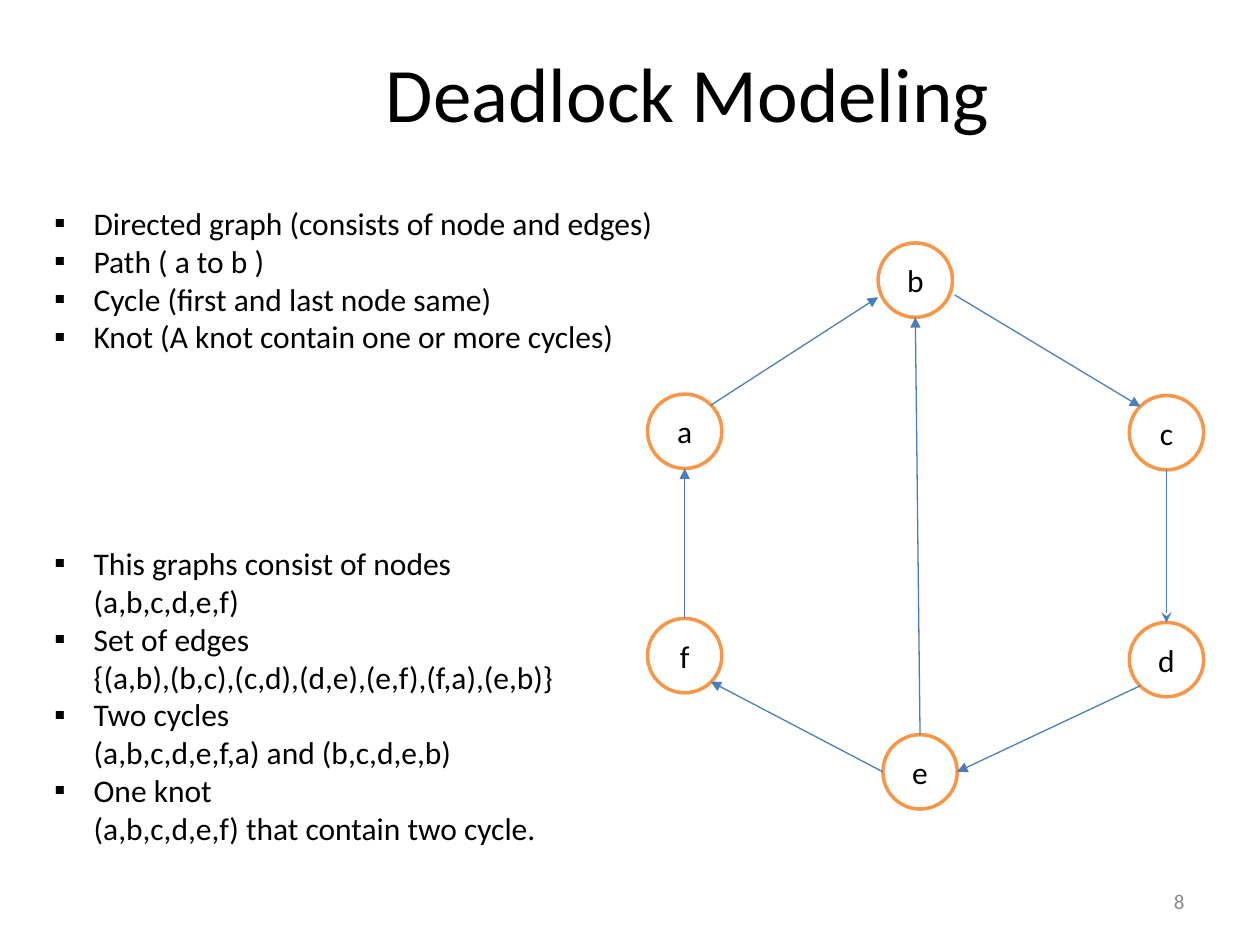
from dataclasses import dataclass

from lxml.etree import SubElement
from pptx import Presentation
from pptx.dml.color import RGBColor
from pptx.enum.shapes import MSO_CONNECTOR, MSO_SHAPE
from pptx.enum.text import MSO_ANCHOR, MSO_AUTO_SIZE, PP_ALIGN
from pptx.oxml.ns import qn
from pptx.shapes.autoshape import Shape
from pptx.slide import Slide
from pptx.text.text import _Paragraph as Paragraph
from pptx.util import Pt


@dataclass(frozen=True)
class Theme:
    font: str = "Calibri"
    text: str = "000000"
    number: str = "898989"
    node_fill: str = "FFFFFF"
    node_line: str = "F79646"
    edge: str = "4A7EBB"
    title_size: float = 44
    body_size: float = 18
    number_size: float = 12


@dataclass(frozen=True)
class Node:
    name: str
    left: float
    top: float


@dataclass(frozen=True)
class Edge:
    """An arrow; each anchor is a fraction of its node's width and height."""
    start: str
    start_anchor: tuple[float, float]
    end: str
    end_anchor: tuple[float, float]
    head: str = "triangle"


@dataclass(frozen=True)
class Bullet:
    lines: tuple[str, ...]
    space_before: float = 0


THEME = Theme()
NODE_SIZE = 42.5
BULLET_INDENT = 22.5

TOP, BOTTOM, LEFT, RIGHT = (0.5, 0), (0.5, 1), (0, 0.5), (1, 0.5)
TOP_LEFT, TOP_RIGHT = (0.15, 0.15), (0.85, 0.15)
BOTTOM_LEFT, BOTTOM_RIGHT = (0.15, 0.85), (0.85, 0.85)

NODES = (
    Node("b", 501.8, 138.8),
    Node("a", 370, 225.2),
    Node("c", 645.3, 226),
    Node("f", 370, 353.4),
    Node("d", 645.3, 355.7),
    Node("e", 504.5, 419.8),
)
EDGES = (
    Edge("a", TOP_RIGHT, "b", (0, 0.73)),
    Edge("b", (1.03, 0.7), "c", TOP_LEFT),
    Edge("c", BOTTOM, "d", TOP, "stealth"),
    Edge("d", BOTTOM_LEFT, "e", RIGHT),
    Edge("e", LEFT, "f", BOTTOM_RIGHT),
    Edge("f", TOP, "a", BOTTOM),
    Edge("e", TOP, "b", BOTTOM),
)
BULLETS = (
    Bullet(("Directed graph (consists of node and edges)",)),
    Bullet(("Path ( a to b )",)),
    Bullet(("Cycle (first and last node same)",)),
    Bullet(("Knot (A knot contain one or more cycles)",)),
    Bullet(("This graphs consist of nodes ", "(a,b,c,d,e,f)"), space_before=108),
    Bullet(("Set of edges ", "{(a,b),(b,c),(c,d),(d,e),(e,f),(f,a),(e,b)}")),
    Bullet(("Two cycles", "(a,b,c,d,e,f,a) and (b,c,d,e,b)")),
    Bullet(("One knot", "(a,b,c,d,e,f) that contain two cycle.")),
)


def place(shape: Shape, left: float, top: float, width: float, height: float) -> None:
    shape.left, shape.top = Pt(left), Pt(top)
    shape.width, shape.height = Pt(width), Pt(height)


def add_run(paragraph: Paragraph, text: str, size: float, color: str = THEME.text) -> None:
    run = paragraph.add_run()
    run.text = text
    run.font.name = THEME.font
    run.font.size = Pt(size)
    run.font.color.rgb = RGBColor.from_string(color)


def write_line(shape: Shape, text: str, size: float, align: PP_ALIGN,
               color: str = THEME.text) -> None:
    """Put one vertically centred line of text in a shape."""
    frame = shape.text_frame
    frame.word_wrap = True
    frame.vertical_anchor = MSO_ANCHOR.MIDDLE
    frame.paragraphs[0].alignment = align
    add_run(frame.paragraphs[0], text, size, color)


def set_bullet(paragraph: Paragraph) -> None:
    properties = paragraph._p.get_or_add_pPr()
    properties.set("marL", str(Pt(BULLET_INDENT)))
    properties.set("indent", str(-Pt(BULLET_INDENT)))
    color = SubElement(properties, qn("a:buClr"))
    SubElement(color, qn("a:srgbClr"), val=THEME.text)
    SubElement(properties, qn("a:buFont"), typeface=THEME.font)
    SubElement(properties, qn("a:buChar"), char="▪")


def fill_body(body: Shape) -> None:
    frame = body.text_frame
    frame.word_wrap = True
    frame.auto_size = MSO_AUTO_SIZE.NONE
    frame.vertical_anchor = MSO_ANCHOR.TOP
    for index, bullet in enumerate(BULLETS):
        paragraph = frame.add_paragraph() if index else frame.paragraphs[0]
        set_bullet(paragraph)
        paragraph.space_before = Pt(bullet.space_before)
        for number, line in enumerate(bullet.lines):
            if number:
                paragraph.add_line_break()
            add_run(paragraph, line, THEME.body_size)
        paragraph.font.size = Pt(THEME.body_size)


def add_node(slide: Slide, node: Node) -> Shape:
    shape = slide.shapes.add_shape(MSO_SHAPE.OVAL, Pt(node.left), Pt(node.top),
                                   Pt(NODE_SIZE), Pt(NODE_SIZE))
    shape.shadow.inherit = False
    shape.fill.solid()
    shape.fill.fore_color.rgb = RGBColor.from_string(THEME.node_fill)
    shape.line.color.rgb = RGBColor.from_string(THEME.node_line)
    shape.line.width = Pt(2)
    write_line(shape, node.name, THEME.body_size, PP_ALIGN.CENTER)
    return shape


def anchor_point(shape: Shape, anchor: tuple[float, float]) -> tuple[int, int]:
    return (round(shape.left + shape.width * anchor[0]),
            round(shape.top + shape.height * anchor[1]))


def add_edge(slide: Slide, edge: Edge, shapes: dict[str, Shape]) -> None:
    """Draw an arrow, joined where it meets the top of a node (site 0)."""
    start, end = shapes[edge.start], shapes[edge.end]
    connector = slide.shapes.add_connector(
        MSO_CONNECTOR.STRAIGHT,
        *anchor_point(start, edge.start_anchor), *anchor_point(end, edge.end_anchor))
    if edge.start_anchor == TOP:
        connector.begin_connect(start, 0)
    if edge.end_anchor == TOP:
        connector.end_connect(end, 0)
    connector.line.color.rgb = RGBColor.from_string(THEME.edge)
    connector.line.width = Pt(0.75)
    SubElement(connector.line._get_or_add_ln(), qn("a:tailEnd"), type=edge.head)
    SubElement(connector._element.spPr, qn("a:effectLst"))


def main() -> None:
    presentation = Presentation()
    presentation.slide_width, presentation.slide_height = Pt(720), Pt(540)
    slide = presentation.slides.add_slide(presentation.slide_layouts[1])

    title, body = slide.shapes.title, slide.placeholders[1]
    place(title, 82.8, 0, 620.6, 104.4)
    write_line(title, "Deadlock Modeling", THEME.title_size, PP_ALIGN.CENTER)
    place(body, 23.8, 113, 433.4, 399.6)
    fill_body(body)

    shapes = {node.name: add_node(slide, node) for node in NODES}
    for edge in EDGES:
        add_edge(slide, edge, shapes)

    page_number = slide.shapes.add_textbox(Pt(516), Pt(500.5), Pt(168), Pt(28.8))
    write_line(page_number, "8", THEME.number_size, PP_ALIGN.RIGHT, THEME.number)
    presentation.save("out.pptx")


if __name__ == "__main__":
    main()
